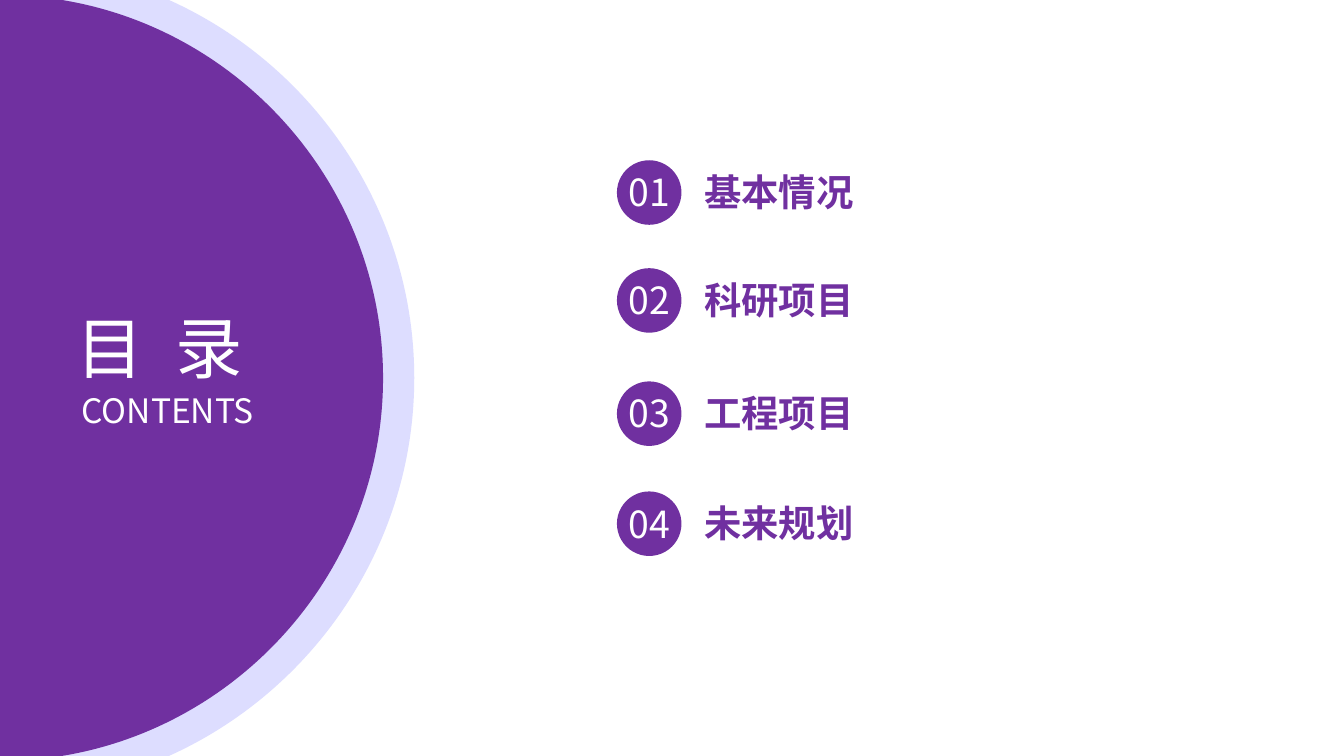
from lxml.etree import SubElement
from pptx import Presentation
from pptx.dml.color import RGBColor
from pptx.enum.shapes import MSO_SHAPE
from pptx.enum.text import MSO_ANCHOR, MSO_AUTO_SIZE, PP_ALIGN
from pptx.oxml.ns import qn
from pptx.util import Cm, Pt

COLORS = {"purple": "7030A0", "lavender": "9999FF", "white": "FFFFFF"}
FONT = "Noto Sans CJK SC"
SLIDE_WIDTH, SLIDE_HEIGHT = 25.4, 14.29
ARC_HANDLE = 0.55
ENTRIES = [
    (3.03, 4.5, "基本情况"),
    (5.07, 3.86, "科研项目"),
    (7.21, 3.99, "工程项目"),
    (9.29, 4.32, "未来规划"),
]


class ContentsSlide:
    def __init__(self, slide):
        self.slide = slide

    def paint(self, shape, color, opacity=None):
        shape.shadow.inherit = False
        shape.fill.solid()
        shape.fill.fore_color.rgb = RGBColor.from_string(COLORS[color])
        shape.line.fill.background()
        if opacity is not None:
            color_element = shape._element.spPr.find(qn("a:solidFill"))[0]
            SubElement(color_element, qn("a:alpha")).set("val", str(opacity * 1000))

    def half_disc(self, radius, color, opacity=None):
        middle = SLIDE_HEIGHT / 2
        builder = self.slide.shapes.build_freeform(0, Cm(middle - radius))
        builder.add_line_segments(
            [(Cm(radius), Cm(middle)), (0, Cm(middle + radius))], close=True
        )
        shape = builder.convert_to_shape()
        handle = radius * ARC_HANDLE
        curves = [
            [(handle, 0), (radius, radius - handle), (radius, radius)],
            [(radius, radius + handle), (handle, 2 * radius), (0, 2 * radius)],
        ]
        segments = list(shape._element.iter(qn("a:lnTo")))
        for segment, curve in zip(segments, curves):
            segment.tag = qn("a:cubicBezTo")
            segment.remove(segment[0])
            for x, y in curve:
                point = SubElement(segment, qn("a:pt"))
                point.set("x", str(Cm(x)))
                point.set("y", str(Cm(y)))
        self.paint(shape, color, opacity)

    def format_text(self, shape, size, color, align, bold=False):
        frame = shape.text_frame
        frame.word_wrap = True
        frame.auto_size = MSO_AUTO_SIZE.NONE
        frame.vertical_anchor = MSO_ANCHOR.TOP
        paragraph = frame.paragraphs[0]
        paragraph.alignment = align
        font = paragraph.font
        font.size = Pt(size)
        font.bold = bold
        font.color.rgb = RGBColor.from_string(COLORS[color])
        font.name = FONT
        properties = paragraph._p.pPr.find(qn("a:defRPr"))
        SubElement(properties, qn("a:ea")).set("typeface", FONT)

    def text(self, shapes, box, text, size, color, align=PP_ALIGN.CENTER, bold=False):
        shape = shapes.add_textbox(*map(Cm, box))
        shape.text_frame.text = text
        self.format_text(shape, size, color, align, bold)

    def title(self, box, first, last, size, color, spacing):
        shape = self.slide.shapes.title
        shape.left, shape.top, shape.width, shape.height = map(Cm, box)
        paragraph = shape.text_frame.paragraphs[0]
        spaced_run = paragraph.add_run()
        spaced_run.text = first + " "
        spaced_run._r.get_or_add_rPr().set("spc", str(int(spacing * 100)))
        paragraph.add_run().text = last
        self.format_text(shape, size, color, PP_ALIGN.CENTER)
        self.slide.shapes._spTree.append(shape._element)

    def entry(self, top, number, label, label_width):
        shapes = self.slide.shapes.add_group_shape().shapes
        disc = shapes.add_shape(
            MSO_SHAPE.OVAL, Cm(11.66), Cm(top), Cm(1.22), Cm(1.22)
        )
        self.paint(disc, "purple")
        self.text(shapes, (11.51, top + 0.05, 1.52, 1.11), number, 20, "white")
        self.text(
            shapes, (13.06, top + 0.04, label_width, 1.11), label, 20, "purple",
            PP_ALIGN.LEFT, bold=True,
        )


presentation = Presentation()
presentation.slide_width = Cm(SLIDE_WIDTH)
presentation.slide_height = Cm(SLIDE_HEIGHT)
title_only = presentation.slide_layouts[5]
contents = ContentsSlide(presentation.slides.add_slide(title_only))

contents.half_disc(7.83, "lavender", opacity=33)
contents.half_disc(7.24, "purple")
contents.text(
    contents.slide.shapes, (1.01, 7.24, 4.32, 1.02), "CONTENTS", 18, "white"
)
contents.title((0.86, 5.66, 4.32, 1.8), "目", "录", 36, "white", spacing=4.5)

for number, (top, label_width, label) in enumerate(ENTRIES, start=1):
    contents.entry(top, f"{number:02d}", label, label_width)

presentation.save("out.pptx")
